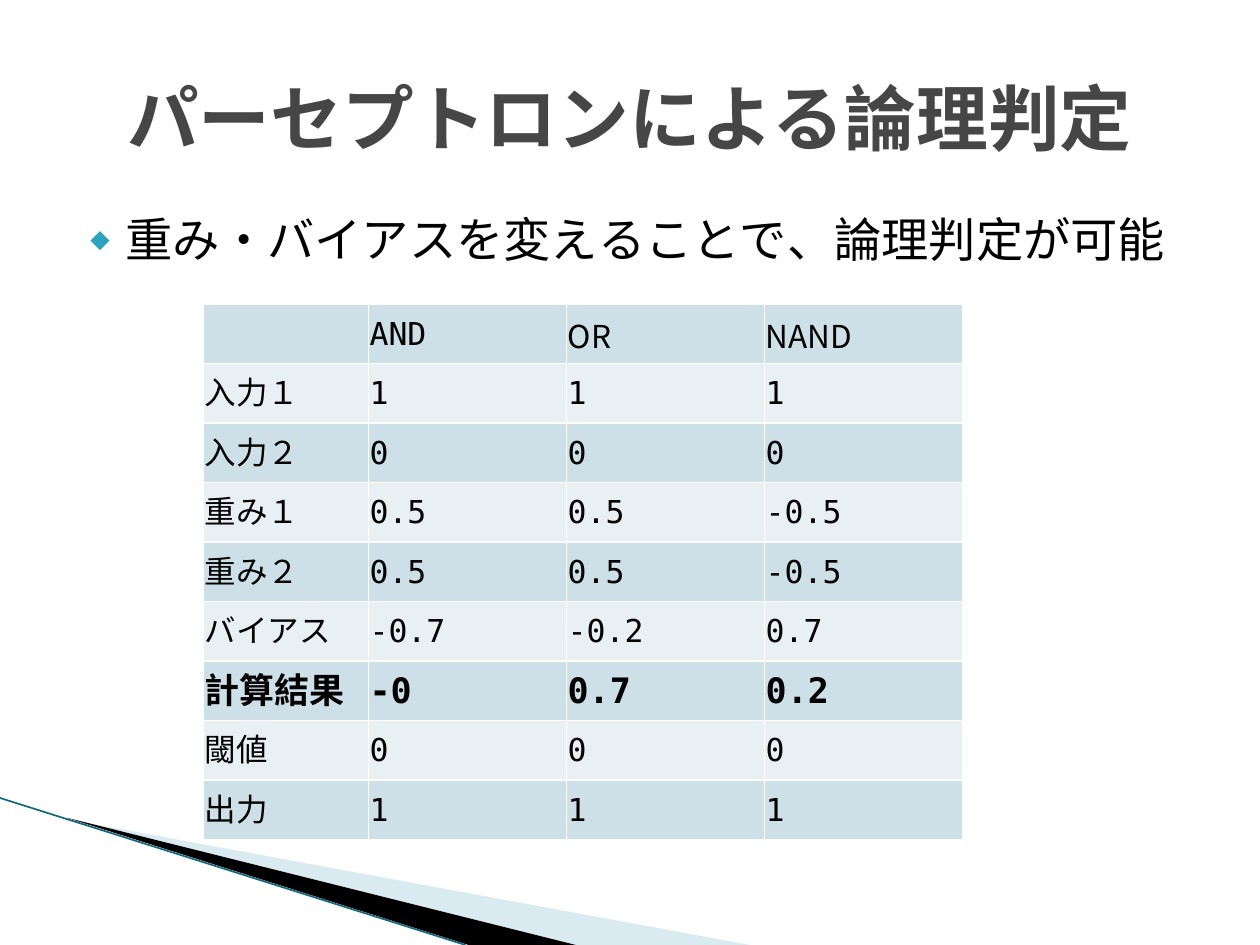
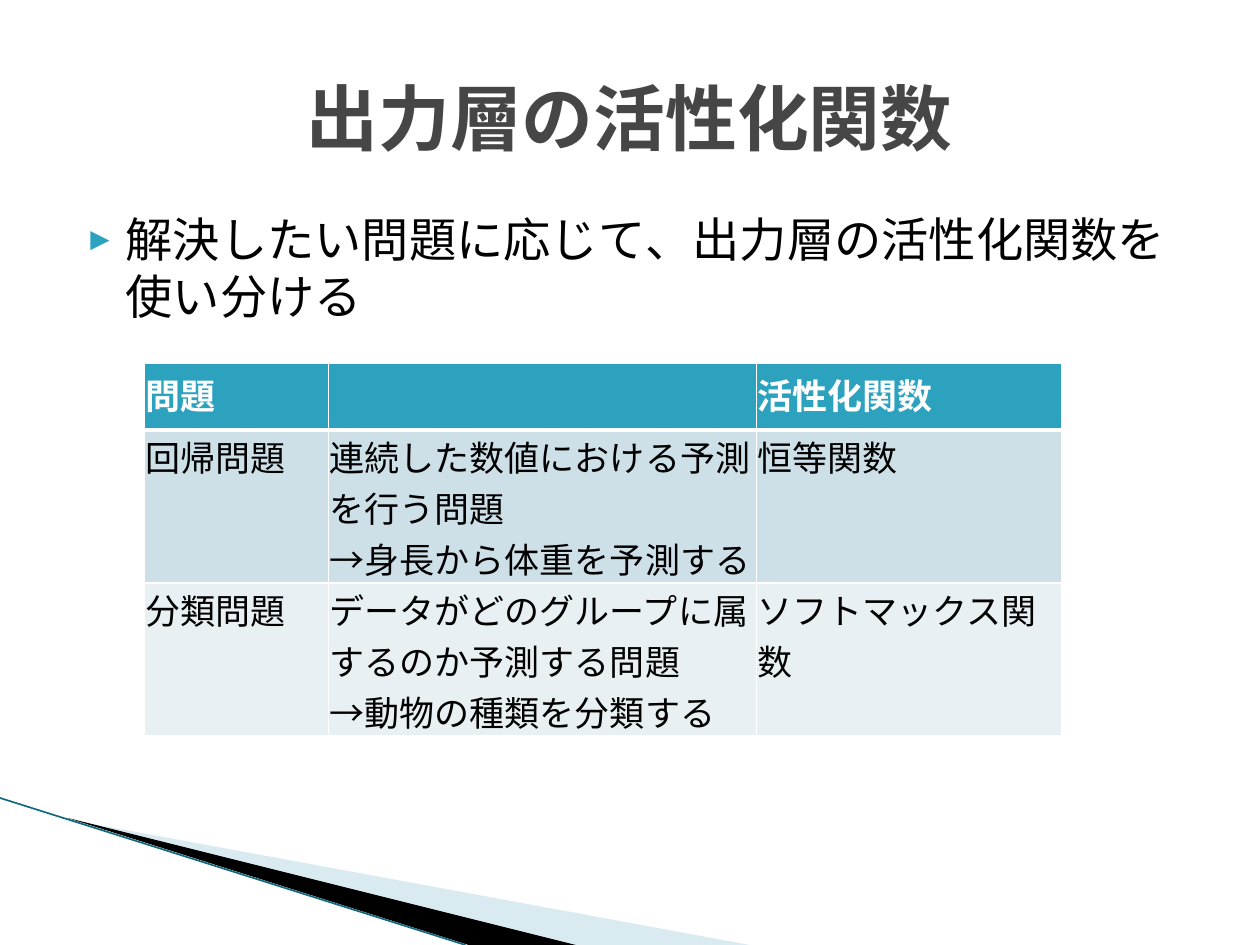
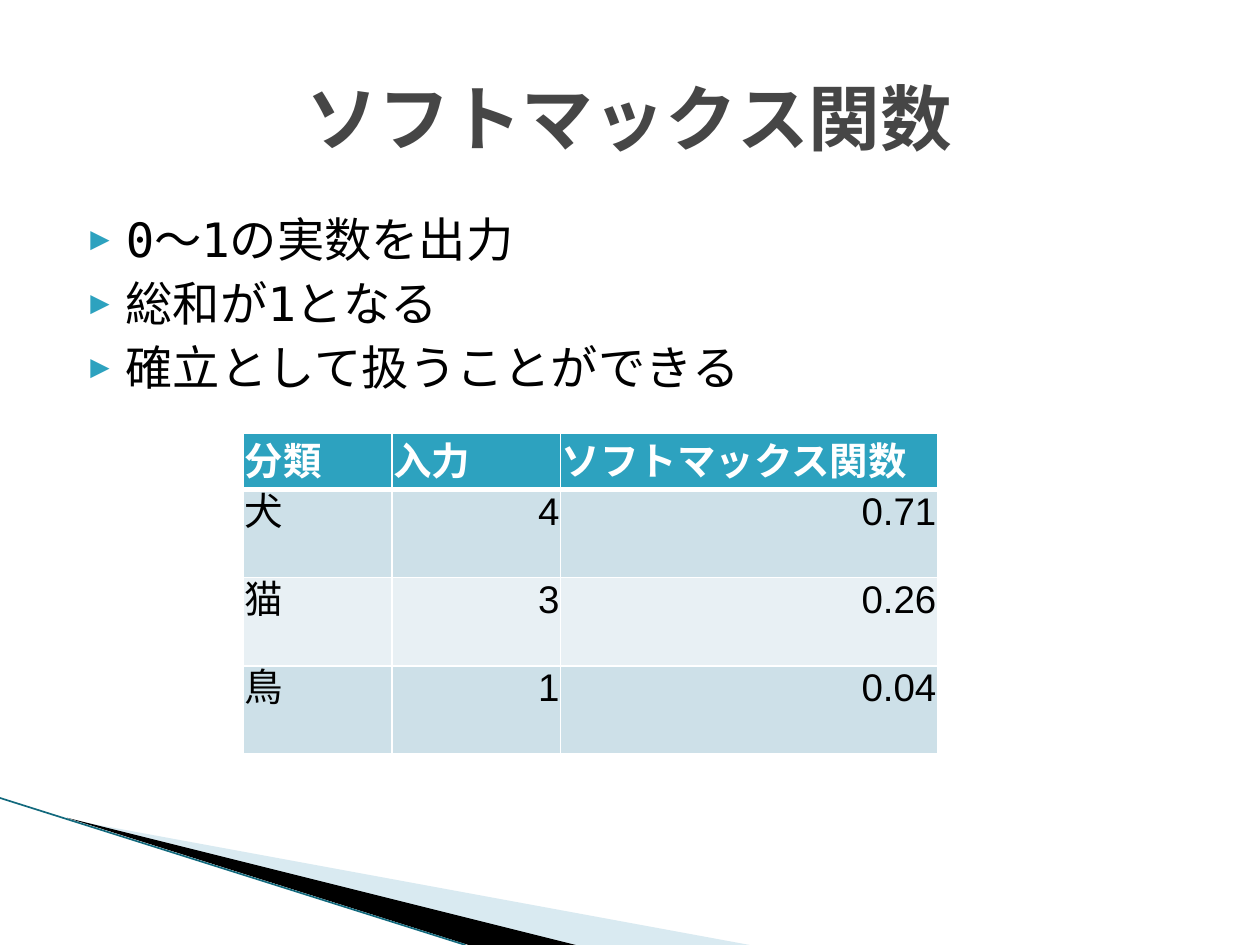
from lxml.etree import SubElement
from pptx import Presentation
from pptx.dml.color import RGBColor
from pptx.enum.shapes import MSO_CONNECTOR
from pptx.enum.text import MSO_ANCHOR, PP_ALIGN
from pptx.oxml.ns import qn
from pptx.util import Pt

COLORS = {
    "title": "464646",
    "text": "000000",
    "teal": "2DA2BF",
    "pale": "A0CBDC",
    "edge": "12697D",
    "dark": "CDE0E8",
    "light": "E8F0F4",
    "white": "FFFFFF",
}
MONO, ARIAL, NOTO = "DejaVu Sans Mono", "Arial", "Noto Sans CJK JP"
TITLE_BOX = (36, 21.6, 648, 90)
BODY_BOX = (36, 116.64, 648, 356.4)
WAVE_BOX = (0, 456, 428.4, 84)


def tint(name):
    return RGBColor.from_string(COLORS[name])


def add(parent, tag, **attrs):
    return SubElement(parent, qn(tag), attrs)


def style(para, size, face, color="text", bold=False):
    for run in para.runs:
        font = run.font
        font.size, font.name, font.bold = Pt(size), face, bold
        font.color.rgb = tint(color)
        props = run._r.get_or_add_rPr()
        add(props, "a:ea", typeface=face)
        add(props, "a:cs", typeface=face)


def add_frame(slide, box):
    frame = slide.shapes.add_textbox(*map(Pt, box)).text_frame
    frame.word_wrap = True
    return frame


def add_wave(slide, box):
    left, top, width, height = box

    def place(x, y):
        return Pt(left + x), Pt(top + y)

    blades = [
        ("pale", 40, [(39.6, 12.4), (width, height), (328.3, height)]),
        ("text", 100, [(38.2, 11.3), (329, height), (267.8, height)]),
    ]
    for color, alpha, spots in blades:
        start, *rest = [place(*spot) for spot in spots]
        maker = slide.shapes.build_freeform(*start)
        maker.add_line_segments(rest)
        blade = maker.convert_to_shape()
        blade.shadow.inherit = False
        blade.line.fill.background()
        blade.fill.solid()
        blade.fill.fore_color.rgb = tint(color)
        if alpha < 100:
            shade = blade._element.spPr.find(".//" + qn("a:srgbClr"))
            add(shade, "a:alpha", val=str(alpha * 1000))
    edge = slide.shapes.add_connector(
        MSO_CONNECTOR.STRAIGHT, *place(0, 0), *place(266, height))
    edge.line.width = Pt(0.95)
    edge.line.color.rgb = tint("edge")
    add(edge._element.spPr, "a:effectLst")


def add_title(slide, box, text):
    frame = add_frame(slide, box)
    frame.vertical_anchor = MSO_ANCHOR.MIDDLE
    frame.text = text
    para = frame.paragraphs[0]
    para.alignment = PP_ALIGN.CENTER
    style(para, 41, MONO, "title", True)


def add_body(slide, box, lines, mark):
    frame = add_frame(slide, box)
    frame.text = "\n".join(lines)
    for para in frame.paragraphs:
        para.space_before = Pt(4)
        style(para, 27, MONO)
        props = para._p.get_or_add_pPr()
        props.set("marL", str(Pt(28.8)))
        props.set("indent", str(Pt(-20.16)))
        add(add(props, "a:buClr"), "a:srgbClr", val=COLORS["teal"])
        add(props, "a:buSzPct", val="68000")
        add(props, "a:buFont", typeface=MONO)
        add(props, "a:buChar", char=mark)


def add_edges(cell, top, base):
    props = cell._tc.get_or_add_tcPr()
    for side, width in zip("LRTB", (1, 1, top, base)):
        line = add(props, "a:ln" + side, w=str(Pt(width)))
        add(add(line, "a:solidFill"), "a:srgbClr", val=COLORS["white"])


def add_grid(slide, box, cols, heights, rows, look, head=True):
    left, top = box
    table = slide.shapes.add_table(
        len(rows), len(cols), Pt(left), Pt(top),
        Pt(sum(cols)), Pt(sum(heights))).table
    for col, width in zip(table.columns, cols):
        col.width = Pt(width)
    for i, (row, tall) in enumerate(zip(rows, heights)):
        table.rows[i].height = Pt(tall)
        for j, text in enumerate(row):
            cell = table.cell(i, j)
            first = head and i == 0
            add_edges(cell, 3 if head and i == 1 else 1, 3 if first else 1)
            cell.fill.solid()
            band = "light" if (i + head) % 2 else "dark"
            cell.fill.fore_color.rgb = tint("teal" if first else band)
            cell.margin_left = cell.margin_right = cell.margin_top = Pt(0.72)
            cell.margin_bottom = 0
            if first or not head:
                cell.vertical_anchor = MSO_ANCHOR.MIDDLE
            cell.text = text
            for para in cell.text_frame.paragraphs:
                look(para, i, j)


def look_logic(para, i, j):
    face = ARIAL if j == 0 else NOTO if i == 0 and j > 1 else MONO
    style(para, 20 if i == 6 else 18, face, bold=i == 6)


def look_task(para, i, j):
    if i == 0:
        style(para, 20, ARIAL, "white", True)
    else:
        style(para, 20, NOTO)


def look_score(para, i, j):
    style(para, 22, ARIAL, "text" if i else "white", i == 0)
    if i and j:
        para.alignment = PP_ALIGN.RIGHT


def add_page(deck, title, lines, mark, *grid, **extra):
    slide = deck.slides.add_slide(deck.slide_layouts[6])
    add_wave(slide, WAVE_BOX)
    add_body(slide, BODY_BOX, lines, mark)
    add_title(slide, TITLE_BOX, title)
    add_grid(slide, *grid, **extra)


def main():
    deck = Presentation()
    deck.slide_width, deck.slide_height = Pt(720), Pt(540)
    add_page(
        deck, "パーセプトロンによる論理判定",
        ["重み・バイアスを変えることで、論理判定が可能"], "◆",
        (116.2, 173.8), [94.3] + [113.2] * 3, [34] * 9,
        [
            ["", "AND", "OR", "NAND"],
            ["入力１", "1", "1", "1"],
            ["入力２", "0", "0", "0"],
            ["重み１", "0.5", "0.5", "-0.5"],
            ["重み２", "0.5", "0.5", "-0.5"],
            ["バイアス", "-0.7", "-0.2", "0.7"],
            ["計算結果", "-0", "0.7", "0.2"],
            ["閾値", "0", "0", "0"],
            ["出力", "1", "1", "1"],
        ],
        look_logic, head=False)
    add_page(
        deck, "出力層の活性化関数",
        ["解決したい問題に応じて、出力層の活性化関数を使い分ける"], "▶",
        (82.4, 207.7), [105.2, 244.6, 174.8], [38, 87.5, 87.5],
        [
            ["問題", "", "活性化関数"],
            ["回帰問題",
             "連続した数値における予測を行う問題\n→身長から体重を予測する",
             "恒等関数"],
            ["分類問題",
             "データがどのグループに属するのか予測する問題\n→動物の種類を分類する",
             "ソフトマックス関数"],
        ],
        look_task)
    add_page(
        deck, "ソフトマックス関数",
        ["0～1の実数を出力", "総和が1となる", "確立として扱うことができる"], "▶",
        (139.2, 247.7), [84.8, 96.4, 215.4], [32] + [50.4] * 3,
        [
            ["分類", "入力", "ソフトマックス関数"],
            ["犬", "4", "0.71"],
            ["猫", "3", "0.26"],
            ["鳥", "1", "0.04"],
        ],
        look_score)
    deck.save("out.pptx")


if __name__ == "__main__":
    main()
